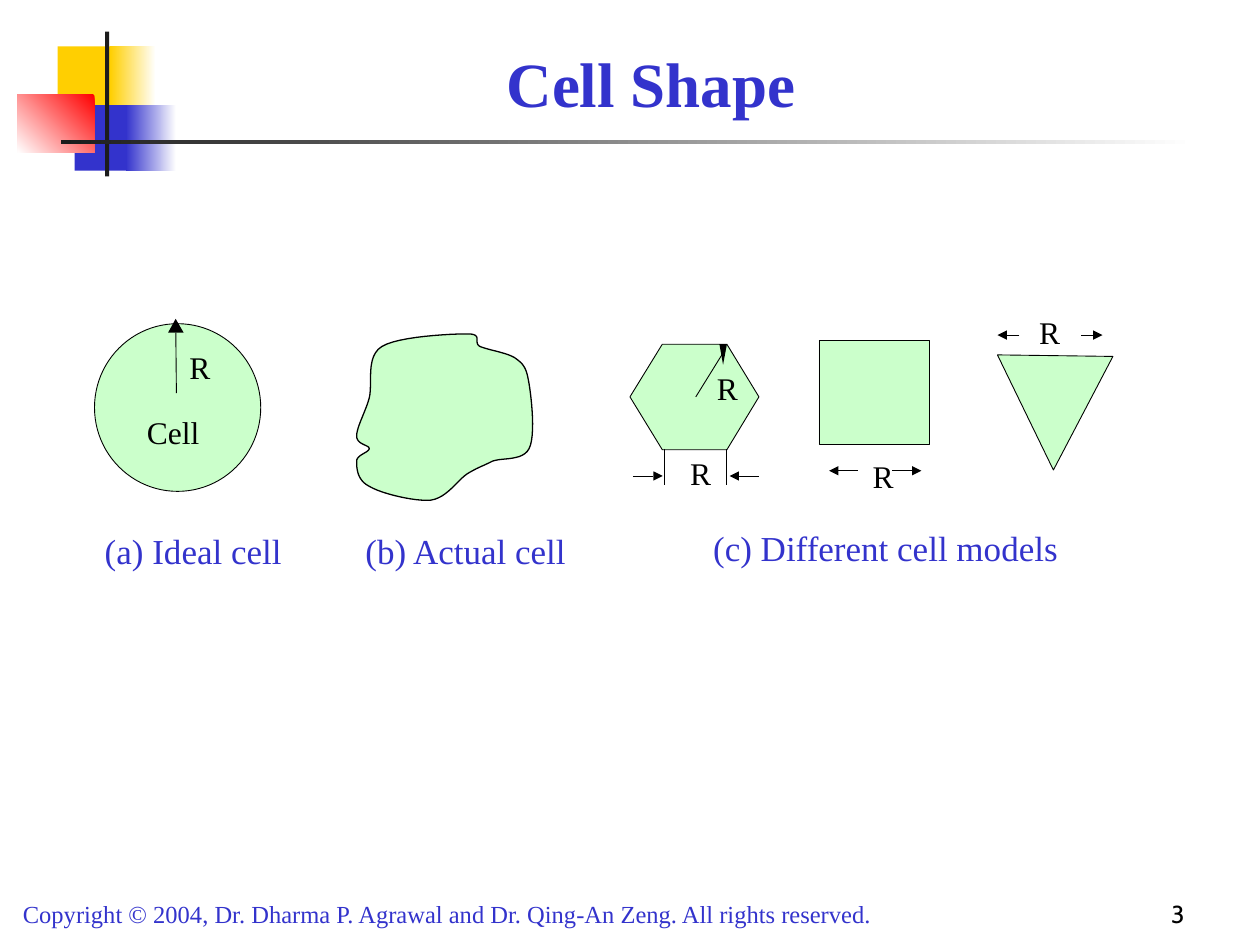
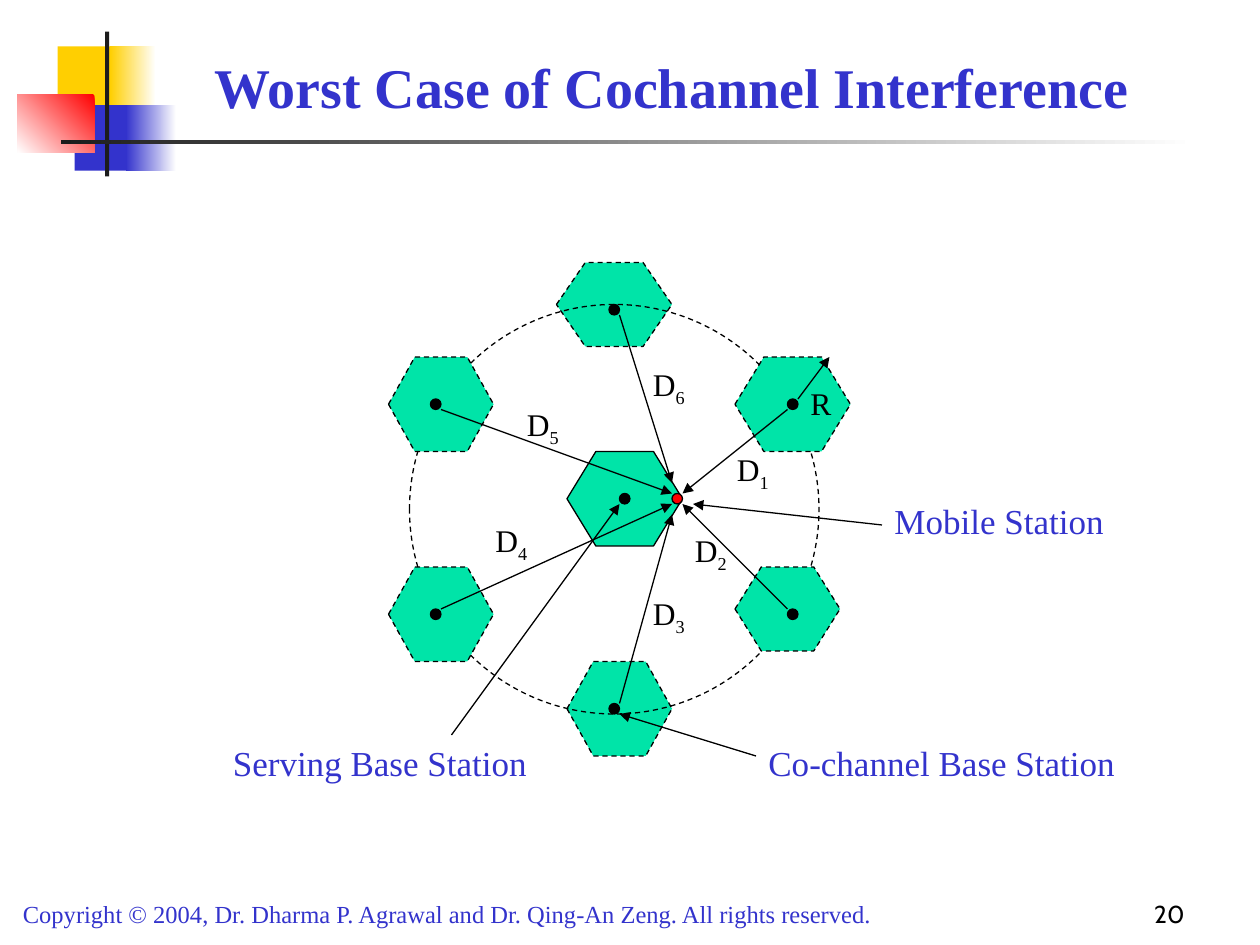
from lxml import etree
from math import hypot
from pptx import Presentation
from pptx.dml.color import RGBColor
from pptx.enum.dml import MSO_LINE
from pptx.enum.shapes import MSO_CONNECTOR, MSO_SHAPE
from pptx.enum.text import MSO_ANCHOR as Anchor, PP_ALIGN as Align
from pptx.oxml.ns import qn
from pptx.util import Pt

COLORS = {
    "blue": "3333CC",
    "yellow": "FFCF01",
    "red": "FF0000",
    "white": "FFFFFF",
    "dark": "1C1C1C",
    "black": "000000",
    "pale_green": "99FF99",
    "sea_green": "00E4A8",
}
SERIF = "Times New Roman"
NUMBER_FONT = "Cabin"
COPYRIGHT = ("Copyright © 2004, Dr. Dharma P. Agrawal and Dr. Qing-An Zeng. "
             "All rights reserved.")
HEAD_LENGTH = 5.3

# Outline of the actual cell: a start point, then two controls and an end per curve
ACTUAL_CELL_START = (267.1, 190.8)
ACTUAL_CELL_CURVES = [
    ((257.8, 190.8), (227.5, 192.2), (218.2, 198)),
    ((208.8, 203.8), (213.1, 218.9), (211, 227.5)),
    ((208.8, 235.4), (203.8, 244.1), (203.8, 249.1)),
    ((203.8, 254.2), (211, 254.2), (211, 256.3)),
    ((211, 258.5), (203.8, 259.9), (203.8, 263.5)),
    ((203.8, 267.1), (203.8, 274.3), (211, 277.9)),
    ((218.2, 282.2), (236.9, 286.6), (246.2, 285.8)),
    ((255.6, 284.4), (261.4, 274.3), (267.1, 270.7)),
    ((272.9, 267.1), (275.8, 266.4), (281.5, 263.5)),
    ((287.3, 261.4), (298.8, 263.5), (302.4, 256.3)),
    ((306, 249.1), (303.8, 228.2), (302.4, 219.6)),
    ((301, 211.7), (300.2, 208.8), (295.2, 205.2)),
    ((290.9, 201.6), (279.4, 200.2), (274.3, 198)),
    ((270, 195.8), (276.5, 190.8), (267.1, 190.8)),
]


def rgb(name):
    return RGBColor.from_string(COLORS[name])


def style_shape(shape, fill=None, line_width=None, dashed=False, opacity=None):
    shape.shadow.inherit = False
    if fill:
        shape.fill.solid()
        shape.fill.fore_color.rgb = rgb(fill)
    else:
        shape.fill.background()
    if opacity:
        color = shape.fill._xPr.find(".//" + qn("a:srgbClr"))
        etree.SubElement(color, qn("a:alpha")).set("val", str(opacity * 1000))
    if line_width:
        shape.line.color.rgb = rgb("black")
        shape.line.width = Pt(line_width)
        if dashed:
            shape.line.dash_style = MSO_LINE.DASH
    else:
        shape.line.fill.background()


def add_preset(slide, kind, box, **style):
    shape = slide.shapes.add_shape(kind, *map(Pt, box))
    style_shape(shape, **style)
    return shape


def add_gradient_bar(slide, box, start, end, angle=180):
    """Angle is counter-clockwise, from the start colour to the end colour."""
    bar = add_preset(slide, MSO_SHAPE.RECTANGLE, box)
    bar.fill.gradient()
    bar.fill.gradient_angle = angle
    for stop, color in zip(bar.fill.gradient_stops, (start, end)):
        stop.color.rgb = rgb(color)


def add_polygon(slide, points, **style):
    corners = [(Pt(x), Pt(y)) for x, y in points]
    builder = slide.shapes.build_freeform(*corners[0])
    builder.add_line_segments(corners[1:], close=True)
    style_shape(builder.convert_to_shape(), **style)


def add_line(slide, start, end, width=0.5, arrow=False):
    line = slide.shapes.add_connector(MSO_CONNECTOR.STRAIGHT, *map(Pt, (*start, *end)))
    line.line.color.rgb = rgb("black")
    line.line.width = Pt(width)
    if arrow:
        etree.SubElement(line.line._get_or_add_ln(), qn("a:tailEnd")).set("type", "triangle")
    etree.SubElement(line._element.spPr, qn("a:effectLst"))


def add_dimension_arrow(slide, start, tip, length=HEAD_LENGTH, head_width=HEAD_LENGTH):
    """A thin line whose solid triangular head has a size of its own."""
    distance = hypot(tip[0] - start[0], tip[1] - start[1])
    along_x = (tip[0] - start[0]) / distance
    along_y = (tip[1] - start[1]) / distance
    base = (tip[0] - along_x * length, tip[1] - along_y * length)
    half = head_width / 2
    add_line(slide, start, base)
    add_polygon(slide, [tip,
                        (base[0] - along_y * half, base[1] + along_x * half),
                        (base[0] + along_y * half, base[1] - along_x * half)],
                fill="black")


def add_text(slide, text, box, size, color="black", font=SERIF, bold=False,
             align=Align.LEFT, anchor=Anchor.TOP, tight=False, subscript=None):
    """A tight box has no margins and does not wrap."""
    frame = slide.shapes.add_textbox(*map(Pt, box)).text_frame
    frame.word_wrap = not tight
    frame.vertical_anchor = anchor
    if tight:
        frame.margin_left = frame.margin_right = 0
        frame.margin_top = frame.margin_bottom = 0
    frame.text = text
    paragraph = frame.paragraphs[0]
    paragraph.alignment = align
    if subscript:
        run = paragraph.add_run()
        run.text = subscript
        run.font._element.set("baseline", "-25000")
    for run in paragraph.runs:
        run.font.name = font
        run.font.size = Pt(size)
        run.font.bold = bold
        run.font.color.rgb = rgb(color)


def add_dot(slide, corner, fill="black"):
    add_preset(slide, MSO_SHAPE.OVAL, (*corner, 6, 6), fill=fill, line_width=0.75)


def add_hexagon(slide, box, dashed=True):
    """A hexagon whose slanted sides each take a quarter of its width."""
    hexagon = add_preset(slide, MSO_SHAPE.HEXAGON, box, fill="sea_green",
                         line_width=0.75, dashed=dashed)
    hexagon.adjustments[0] = 0.25 * box[2] / box[3]


def curve_points(start, curves, steps=12):
    points = [start]
    for first, second, end in curves:
        for step in range(1, steps + 1):
            t = step / steps
            u = 1 - t
            points.append(tuple(
                u**3 * a + 3 * u * u * t * b + 3 * u * t * t * c + t**3 * d
                for a, b, c, d in zip(start, first, second, end)))
        start = end
    return points


def add_base_slide(presentation, title, title_left, title_size, number):
    slide = presentation.slides.add_slide(presentation.slide_layouts[6])
    rectangle = MSO_SHAPE.RECTANGLE
    add_preset(slide, rectangle, (33, 26.5, 34.5, 37.5), fill="yellow")
    add_gradient_bar(slide, (63, 26.5, 26, 37.5), "white", "yellow")
    add_preset(slide, rectangle, (42.7, 60, 33, 37.5), fill="blue")
    add_gradient_bar(slide, (72, 60, 28.8, 37.5), "white", "blue")
    add_gradient_bar(slide, (10, 54, 44, 33.2), "red", "white", angle=225)
    add_preset(slide, rectangle, (60, 18, 2.4, 82.8), fill="dark")
    add_gradient_bar(slide, (34.8, 80, 648, 2.4), "white", "dark")
    add_text(slide, COPYRIGHT, (6, 510, 546, 24.5), 14, "blue")
    add_text(slide, title, (title_left, 12, 612, 60), title_size, "blue",
             bold=True, align=Align.CENTER, anchor=Anchor.BOTTOM)
    add_text(slide, number, (534, 498, 150, 36), 14, font=NUMBER_FONT,
             align=Align.RIGHT, anchor=Anchor.BOTTOM)
    return slide


def build_cell_shape(presentation):
    slide = add_base_slide(presentation, "Cell Shape", 66, 36, "3")
    cell_style = {"fill": "pale_green", "opacity": 50, "line_width": 0.5}

    add_preset(slide, MSO_SHAPE.OVAL, (54, 185, 95, 95.8), **cell_style)
    add_polygon(slide, curve_points(ACTUAL_CELL_START, ACTUAL_CELL_CURVES),
                **{**cell_style, "line_width": 0.75})
    add_polygon(slide, [(378.5, 196.7), (360, 226.8), (378.5, 257),
                        (415.4, 257), (433.7, 226.8), (415.4, 196.7)], **cell_style)
    add_preset(slide, MSO_SHAPE.RECTANGLE, (468, 194.4, 63.2, 59.8), **cell_style)
    add_polygon(slide, [(602, 268.6), (636, 203.7), (570, 202.8)], **cell_style)

    add_dimension_arrow(slide, (100.8, 224.6), (100.4, 182.2), 7.9, 8.9)
    add_line(slide, (397.6, 226.8), (412.8, 202.3))
    add_polygon(slide, [(411.1, 196.7), (415.4, 196.7), (413.2, 208.5)], fill="black")
    for x in (379.6, 415.4):
        add_line(slide, (x, 256.5), (x, 277.2))
    for y, start, tip in [(269, 490.3, 473.8), (269, 509.8, 526.5),
                          (272, 361.7, 378.7), (272, 433.7, 416.9),
                          (191.5, 582.5, 570), (191.5, 617.8, 630)]:
        add_dimension_arrow(slide, (start, y), (tip, y))

    for left, top in [(108.2, 198.8), (409.7, 211), (394.3, 259.3),
                      (498.7, 261.3), (593.8, 178.7)]:
        add_text(slide, "R", (left, top, 12, 21.6), 18, tight=True)
    add_text(slide, "Cell", (84, 236.3, 30, 21.6), 18, tight=True)
    for caption, left, top, width in [("(a) Ideal cell", 59.8, 302.4, 101.5),
                                      ("(b) Actual cell", 208.8, 302.4, 116),
                                      ("(c) Different cell models", 407.5, 301, 197.3)]:
        add_text(slide, caption, (left, top, width, 24), 20, "blue", tight=True)


def build_cochannel_interference(presentation):
    slide = add_base_slide(presentation, "Worst Case of Cochannel Interference",
                           78, 32, "20")
    add_hexagon(slide, (324, 258, 66, 54), dashed=False)
    for box in [(318, 150, 66, 48), (324, 378, 60, 54)]:
        add_hexagon(slide, box)
    add_preset(slide, MSO_SHAPE.OVAL, (234, 174, 234, 234), line_width=0.75, dashed=True)
    for box in [(420, 204, 66, 54), (420, 324, 60, 48),
                (222, 204, 60, 54), (222, 324, 60, 54)]:
        add_hexagon(slide, box)

    add_dot(slide, (354, 282))
    add_dot(slide, (384, 282), "red")
    for corner in [(246, 228), (348, 174), (246, 348),
                   (348, 402), (450, 348), (450, 228)]:
        add_dot(slide, corner)

    interference_paths = [
        ("1", (450, 234), (390, 282), (414, 253.5)),
        ("2", (450, 348), (390, 288), (390, 300)),
        ("3", (354, 402), (384, 294), (366, 336)),
        ("4", (252, 348), (384, 288), (276, 294)),
        ("5", (252, 234), (384, 282), (294, 228)),
        ("6", (354, 180), (384, 276), (366, 205)),
    ]
    for index, start, tip, label_corner in interference_paths:
        add_line(slide, start, tip, 0.75, arrow=True)
        add_text(slide, "D", (*label_corner, 42, 31.7), 18, subscript=index)

    stations = [
        ("Mobile Station", (504, 282, 156, 31.7), (504, 300), (396, 288)),
        ("Serving Base Station", (126, 420, 186, 31.7), (258, 420), (354, 288)),
        ("Co-channel Base Station", (432, 420, 222, 31.7), (432, 432), (354, 408)),
    ]
    for name, box, start, tip in stations:
        add_line(slide, start, tip, 0.75, arrow=True)
        add_text(slide, name, box, 20, "blue")

    add_line(slide, (456, 228), (474, 204), 0.75, arrow=True)
    add_text(slide, "R", (456, 216, 30, 28.8), 18)


def main():
    presentation = Presentation()
    presentation.slide_width = Pt(720)
    presentation.slide_height = Pt(540)
    build_cell_shape(presentation)
    build_cochannel_interference(presentation)
    presentation.save("out.pptx")


if __name__ == "__main__":
    main()
